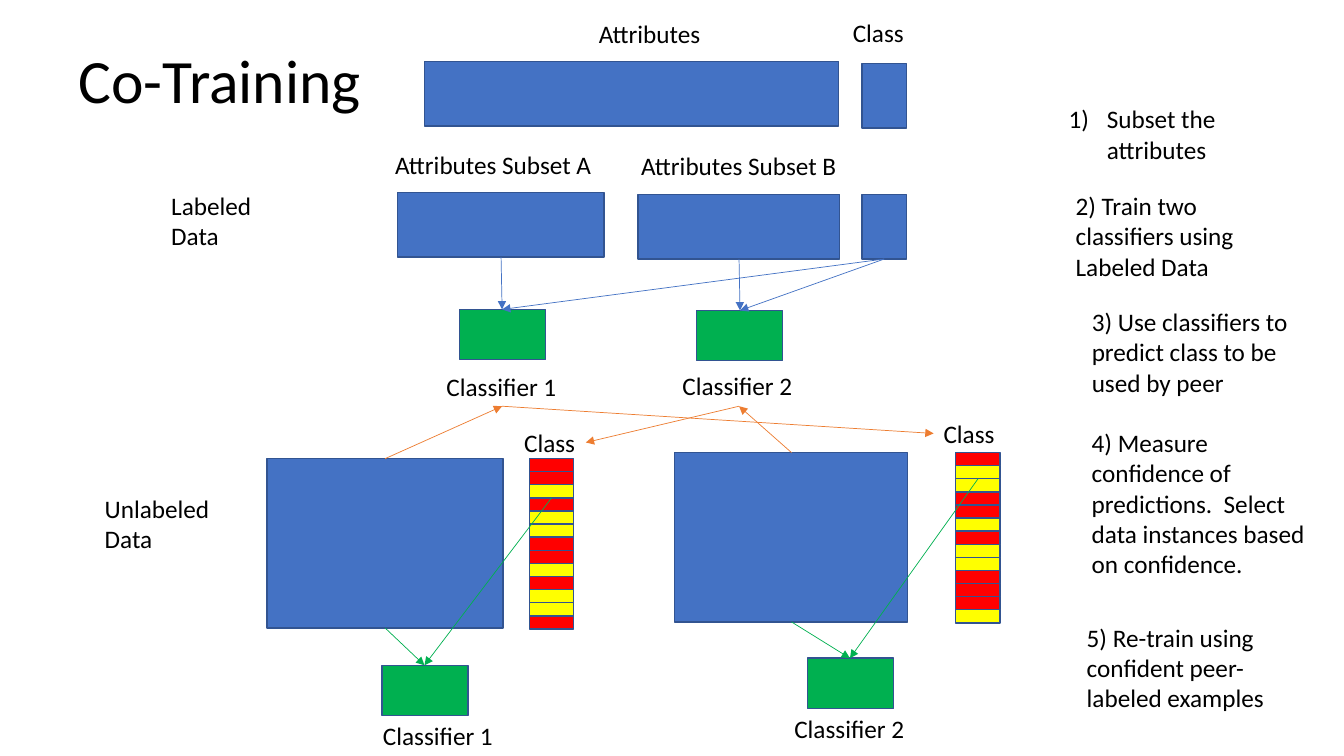
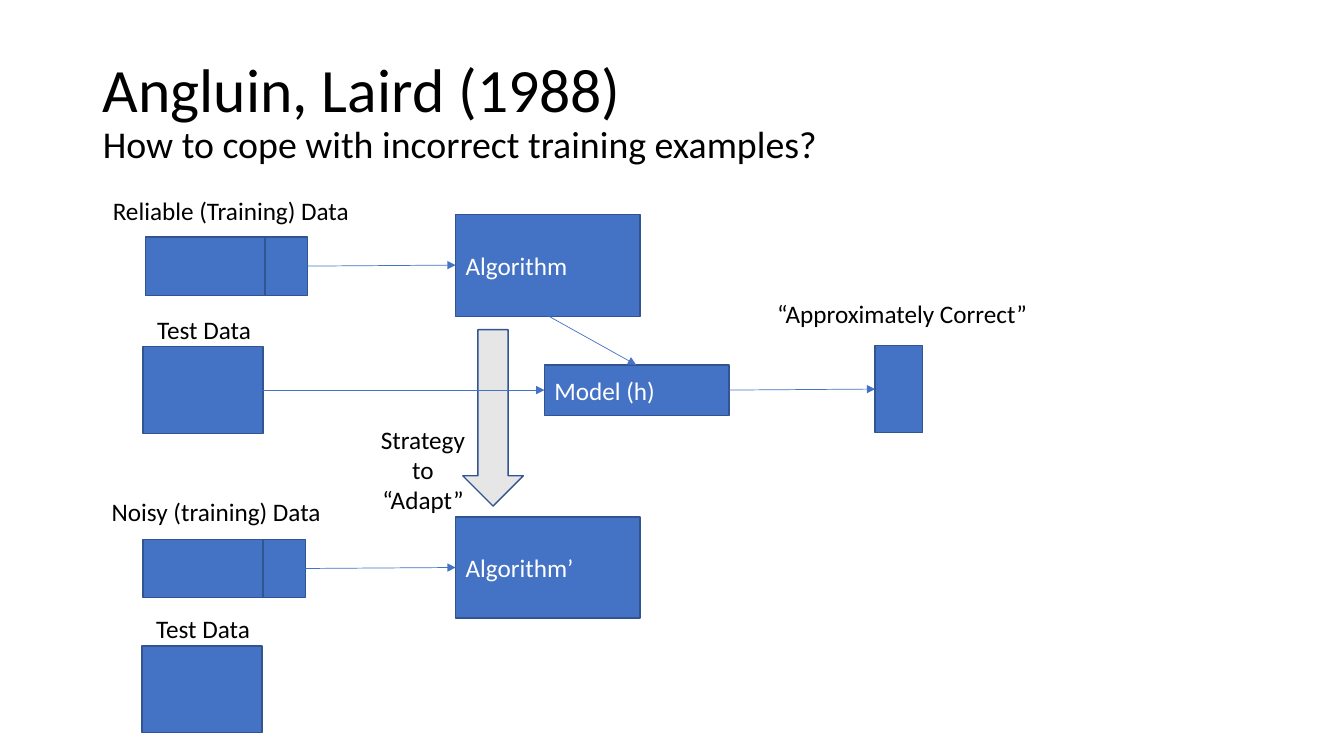
from lxml.etree import SubElement
from pptx import Presentation
from pptx.dml.color import RGBColor
from pptx.enum.shapes import MSO_CONNECTOR, MSO_SHAPE
from pptx.enum.text import MSO_ANCHOR, MSO_AUTO_SIZE, PP_ALIGN
from pptx.oxml.ns import qn
from pptx.util import Inches, Pt

FONT = "Calibri"
BLUE, OUTLINE, GREEN, ORANGE = "4472C4", "325491", "00B050", "ED7D31"
RED, YELLOW, GRAY, BLACK, WHITE = "FF0000", "FFFF00", "E7E6E6", "000000", "FFFFFF"
color = RGBColor.from_string


def add_box(page, place, text="", fill=None, preset=MSO_SHAPE.RECTANGLE):
    """Add a filled shape, or a plain label when there is no fill."""
    place = [Inches(value) for value in place]
    if fill:
        box = page.shapes.add_shape(preset, *place)
        box.shadow.inherit = False
        box.fill.solid()
        box.fill.fore_color.rgb = color(fill)
        box.line.color.rgb = color(OUTLINE)
        box.line.width = Pt(1)
    else:
        box = page.shapes.add_textbox(*place)
        box.text_frame.word_wrap = place[3] > Inches(0.4)
        box.text_frame.auto_size = MSO_AUTO_SIZE.SHAPE_TO_FIT_TEXT
    if text:
        box.text_frame.text = text
        font = box.text_frame.paragraphs[0].runs[0].font
        font.name, font.size = FONT, Pt(18)
        font.color.rgb = color(WHITE if fill else BLACK)
    return box


def add_arrow(page, start, end, line_color=BLUE):
    ends = [Inches(value) for value in (*start, *end)]
    arrow = page.shapes.add_connector(MSO_CONNECTOR.STRAIGHT, *ends)
    arrow.line.color.rgb = color(line_color)
    arrow.line.width = Pt(0.5)
    properties = arrow._element.spPr
    SubElement(properties.find(qn("a:ln")), qn("a:tailEnd"), type="triangle")
    SubElement(properties, qn("a:effectLst"))


deck = Presentation()
deck.slide_width, deck.slide_height = Inches(13.33), Inches(7.5)

# Both pages with their titles
pages = []
for left, top, text in [
    (0.68, 0.1, "Co-Training"),
    (0.92, 0.4, "Angluin, Laird (1988)\vHow to cope with incorrect training examples?"),
]:
    page = deck.slides.add_slide(deck.slide_layouts[5])
    title = page.shapes.title
    title.left, title.top = Inches(left), Inches(top)
    title.width, title.height = Inches(11.5), Inches(1.45)
    title.text_frame.text = text
    title.text_frame.auto_size = MSO_AUTO_SIZE.NONE
    title.text_frame.vertical_anchor = MSO_ANCHOR.MIDDLE
    para = title.text_frame.paragraphs[0]
    para.alignment, para.line_spacing = PP_ALIGN.LEFT, 0.9
    for span, size in zip(para.runs, (44, 27)):
        span.font.name, span.font.size = FONT, Pt(size)
        span.font.color.rgb = color(BLACK)
    pages.append(page)
training, noise = pages

# Co-training: data tables and classifiers
for place in [
    (4.21, 0.61, 4.11, 0.64), (8.55, 0.63, 0.44, 0.64),
    (3.94, 1.91, 2.05, 0.64), (6.33, 1.93, 2, 0.64), (8.55, 1.93, 0.44, 0.64),
    (2.65, 4.55, 2.34, 1.68), (6.69, 4.49, 2.31, 1.68),
]:
    add_box(training, place, fill=BLUE)
for left, top in [(4.56, 3.07), (6.91, 3.08), (3.79, 6.6), (8.01, 6.53)]:
    add_box(training, (left, top, 0.85, 0.5), fill=GREEN)

# Co-training: predicted class columns, one stripe per instance
for left, top, stripes in [(5.25, 4.55, "RRYRYYRRYRYYR"), (9.48, 4.49, "RYYRRYRYYRRRY")]:
    for row, stripe in enumerate(stripes):
        fill = RED if stripe == "R" else YELLOW
        add_box(training, (left, top + 0.13 * row, 0.44, 0.13), fill=fill)

# Co-training: labels
for left, top, width, text in [
    (5.84, 0.13, 1.22, "Attributes"),
    (8.36, 0.12, 0.71, "Class"),
    (3.82, 1.43, 2.17, "Attributes Subset A"),
    (6.26, 1.44, 2.16, "Attributes Subset B"),
    (4.33, 3.63, 1.3, "Classifier 1"),
    (6.67, 3.62, 1.3, "Classifier 2"),
    (5.1, 4.19, 0.71, "Class"),
    (9.26, 4.1, 0.71, "Class"),
    (3.7, 7.1, 1.3, "Classifier 1"),
    (7.78, 7.03, 1.3, "Classifier 2"),
]:
    add_box(training, (left, top, width, 0.4), text)
add_box(training, (1.6, 1.84, 1.19, 0.71), "Labeled Data")
add_box(training, (0.94, 4.84, 1.25, 0.71), "Unlabeled Data")

# Co-training: steps, the first with an automatic number
first_step = add_box(training, (10.5, 0.98, 2.38, 0.71), "Subset the attributes")
numbering = first_step.text_frame.paragraphs[0]._p.get_or_add_pPr()
numbering.set("marL", str(Inches(0.38)))
numbering.set("indent", str(-Inches(0.38)))
SubElement(numbering, qn("a:buFont"), typeface="+mj-lt")
SubElement(numbering, qn("a:buAutoNum"), type="arabicParenR")
for place, text in [
    ((10.57, 1.84, 2.31, 1.01), "2) Train two classifiers using Labeled Data"),
    ((10.73, 2.99, 2.22, 1.01), "3) Use classifiers to predict class to be used by peer"),
    ((10.73, 4.19, 2.5, 1.62), "4) Measure confidence of predictions.  Select data "
                               "instances based on confidence."),
    ((10.68, 6.12, 2.03, 1.01), "5) Re-train using confident peer-labeled examples"),
]:
    add_box(training, place, text)

# Co-training: arrows for training, predicting and re-training
for line_color, arrows in {
    BLUE: [((4.97, 2.55), (4.98, 3.07)), ((8.77, 2.57), (4.98, 3.07)),
           ((8.77, 2.57), (7.34, 3.08)), ((7.33, 2.57), (7.34, 3.08))],
    ORANGE: [((3.82, 4.55), (4.98, 4.03)), ((4.98, 4.03), (9.26, 4.3)),
             ((7.33, 4.03), (5.81, 4.39)), ((7.85, 4.49), (7.33, 4.03))],
    GREEN: [((3.82, 6.23), (4.21, 6.6)), ((7.85, 6.17), (8.43, 6.53)),
            ((5.47, 4.94), (4.21, 6.6)), ((9.7, 4.75), (8.43, 6.53))],
}.items():
    for start, end in arrows:
        add_arrow(training, start, end, line_color)

# Noisy examples: adaptation arrow, algorithms and model
add_box(noise, (4.59, 3.27, 0.6, 1.75), fill=GRAY, preset=MSO_SHAPE.DOWN_ARROW)
for place, text in [
    ((4.52, 2.13, 1.83, 1.01), "Algorithm"),
    ((4.52, 5.13, 1.83, 1), "Algorithm’"),
    ((5.4, 3.62, 1.83, 0.5), "Model (h)"),
]:
    add_box(noise, place, text, BLUE)

# Noisy examples: training data with class column, test data, output
for left, top in [(1.44, 2.35), (1.42, 5.35)]:
    add_box(noise, (left, top, 1.19, 0.58), fill=BLUE)
    add_box(noise, (left + 1.19, top, 0.42, 0.58), fill=BLUE)
for left, top, width in [(1.42, 3.44, 1.19), (1.41, 6.41, 1.19), (8.68, 3.43, 0.47)]:
    add_box(noise, (left, top, width, 0.86), fill=BLUE)

# Noisy examples: labels
for left, top, width, text in [
    (1.02, 1.89, 2.55, "Reliable (Training) Data"),
    (1.46, 3.07, 1.14, "Test Data"),
    (1.01, 4.87, 2.3, "Noisy (training) Data"),
    (1.45, 6.04, 1.14, "Test Data"),
    (7.61, 2.91, 2.69, "“Approximately Correct”"),
]:
    add_box(noise, (left, top, width, 0.4), text)
strategy = add_box(noise, (3.6, 4.16, 1.19, 1.01), "Strategy to “Adapt”")
strategy.text_frame.paragraphs[0].alignment = PP_ALIGN.CENTER

# Noisy examples: flow arrows
for start, end in [
    ((3.05, 2.64), (4.52, 2.63)), ((5.43, 3.13), (6.31, 3.62)),
    ((2.61, 3.87), (5.4, 3.87)), ((7.23, 3.87), (8.68, 3.86)),
    ((3.03, 5.64), (4.52, 5.63)),
]:
    add_arrow(noise, start, end)

deck.save("out.pptx")
